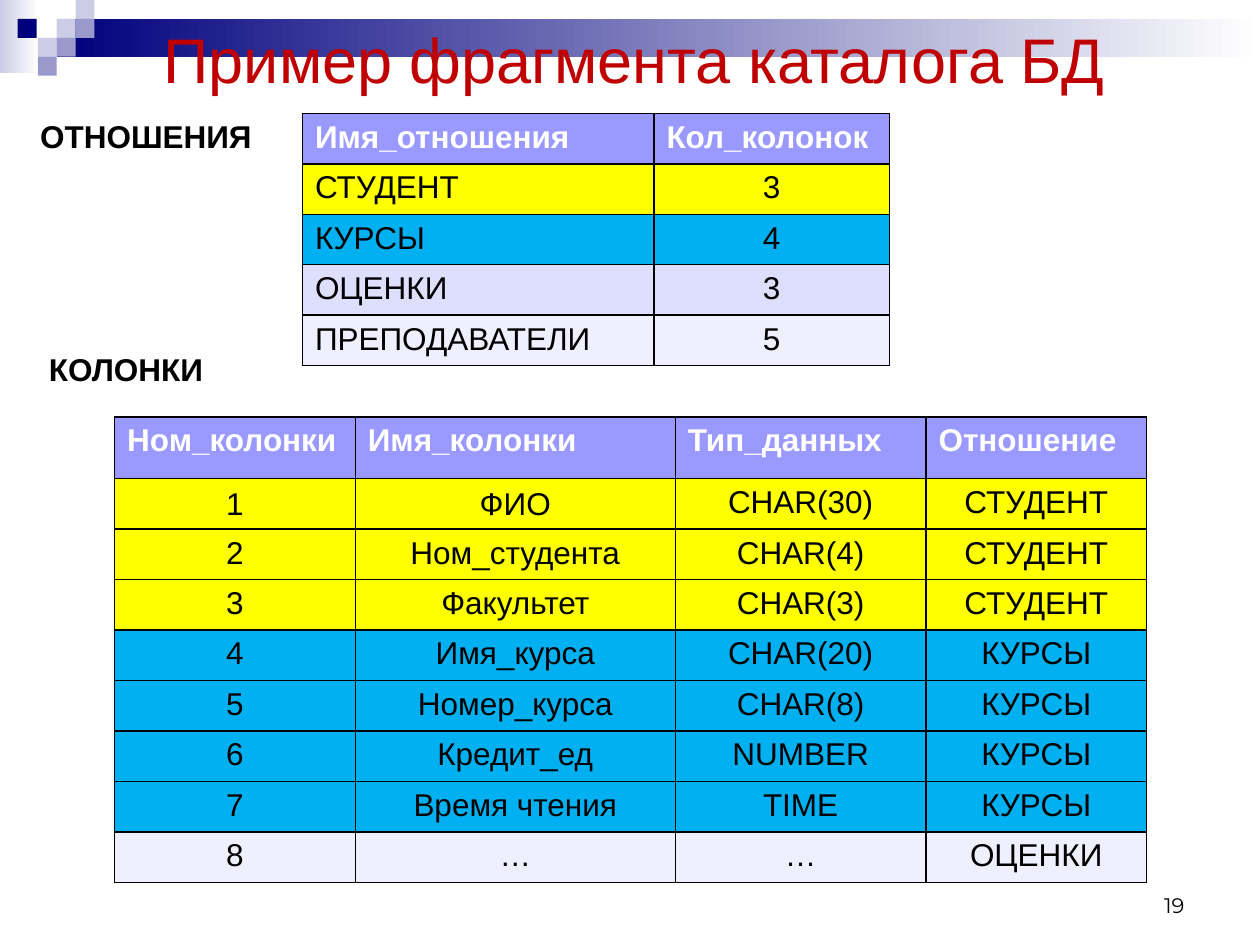
import lxml.etree
import pptx
import pptx.dml.color
import pptx.enum.shapes
import pptx.enum.text
import pptx.oxml.ns
import pptx.util

Inches = pptx.util.Inches
ALIGN = pptx.enum.text.PP_ALIGN
ANCHOR = pptx.enum.text.MSO_ANCHOR
qn = pptx.oxml.ns.qn

NAVY, LAVENDER, SLATE, WHITE = "00007D", "CCCCE6", "9999CC", "FFFFFF"
HEADER, YELLOW, BLUE, LILAC, PALE = "9999FF", "FFFF00", "00B0F0", "DEDEFF", "EFEFFF"


def color(value):
    return pptx.dml.color.RGBColor.from_string(value)


def write(frame, text, size=18, font="Arial", ink="000000", bold=False, align=ALIGN.LEFT):
    paragraph = frame.paragraphs[0]
    paragraph.alignment = align
    run = paragraph.add_run()
    run.text = text
    run.font.size = pptx.util.Pt(size)
    run.font.name = font
    run.font.bold = bold
    run.font.color.rgb = color(ink)


class CatalogSlide:
    def __init__(self, slide, border="000000", border_width=1):
        self.slide = slide
        self.border = border
        self.border_width = border_width

    def block(self, left, top, width, height, start, end=None):
        shape = self.slide.shapes.add_shape(
            pptx.enum.shapes.MSO_SHAPE.RECTANGLE,
            Inches(left), Inches(top), Inches(width), Inches(height))
        shape.shadow.inherit = False
        shape.line.fill.background()
        if end is None:
            shape.fill.solid()
            shape.fill.fore_color.rgb = color(start)
            return
        shape.fill.gradient()
        shape.fill.gradient_angle = 0
        for stop, tone in zip(shape.fill.gradient_stops, (start, end)):
            stop.color.rgb = color(tone)

    def label(self, left, top, width, height, text, anchor=ANCHOR.TOP, **style):
        box = self.slide.shapes.add_textbox(
            Inches(left), Inches(top), Inches(width), Inches(height))
        box.text_frame.word_wrap = True
        box.text_frame.vertical_anchor = anchor
        write(box.text_frame, text, **style)

    def outline(self, cell):
        properties = cell._tc.get_or_add_tcPr()
        width = str(pptx.util.Pt(self.border_width))
        for side in ("a:lnL", "a:lnR", "a:lnT", "a:lnB"):
            line = lxml.etree.SubElement(properties, qn(side), w=width)
            fill = lxml.etree.SubElement(line, qn("a:solidFill"))
            lxml.etree.SubElement(fill, qn("a:srgbClr"), val=self.border)

    def table(self, left, top, widths, heights, rows, fills, left_columns=()):
        table = self.slide.shapes.add_table(
            len(rows), len(widths), Inches(left), Inches(top),
            Inches(sum(widths)), Inches(sum(heights))).table
        for column, width in zip(table.columns, widths):
            column.width = Inches(width)
        for r, (values, fill) in enumerate(zip(rows, fills)):
            table.rows[r].height = Inches(heights[r])
            for c, value in enumerate(values):
                cell = table.cell(r, c)
                self.outline(cell)
                cell.fill.solid()
                cell.fill.fore_color.rgb = color(fill)
                header = r == 0
                write(cell.text_frame, value, bold=header,
                      ink=WHITE if header else "000000",
                      align=ALIGN.LEFT if header or c in left_columns else ALIGN.CENTER)
        return table


def main():
    deck = pptx.Presentation()
    deck.slide_width, deck.slide_height = Inches(10), Inches(7.5)
    page = CatalogSlide(deck.slides.add_slide(deck.slide_layouts[6]))

    page.block(0, 0, 0.31, 0.58, LAVENDER, WHITE)
    page.block(0.45, 0.15, 9.55, 0.3, NAVY, WHITE)
    for left, top, tone in (
            (0.45, 0.15, LAVENDER), (0.6, 0, LAVENDER), (0.6, 0.15, SLATE),
            (0.3, 0.3, LAVENDER), (0.14, 0.15, NAVY), (0.45, 0.3, SLATE),
            (0.3, 0.45, SLATE)):
        page.block(left, top, 0.15, 0.15, tone)

    page.label(0.28, 0.03, 9.51, 0.87, "Пример фрагмента каталога БД",
               anchor=ANCHOR.MIDDLE, size=36, ink="C00000", align=ALIGN.CENTER)
    page.label(7.17, 6.83, 2.33, 0.5, "19", anchor=ANCHOR.BOTTOM,
               size=12, font="Montserrat", align=ALIGN.RIGHT)

    relations = [
        ("Имя_отношения", "Кол_колонок"),
        ("СТУДЕНТ", "3"),
        ("КУРСЫ", "4"),
        ("ОЦЕНКИ", "3"),
        ("ПРЕПОДАВАТЕЛИ", "5"),
    ]
    page.table(2.4, 0.9, (2.79, 1.87), (0.4, 0.4, 0.4, 0.37, 0.4), relations,
               (HEADER, YELLOW, BLUE, LILAC, PALE), left_columns=(0,))
    page.label(0.22, 0.88, 2.18, 0.4, "ОТНОШЕНИЯ", bold=True)
    page.label(0.29, 2.73, 1.57, 0.4, "КОЛОНКИ", bold=True)

    columns = [
        ("Ном_колонки", "Имя_колонки", "Тип_данных", "Отношение"),
        ("1", "ФИО", "CHAR(30)", "СТУДЕНТ"),
        ("2", "Ном_студента", "CHAR(4)", "СТУДЕНТ"),
        ("3", "Факультет", "CHAR(3)", "СТУДЕНТ"),
        ("4", "Имя_курса", "CHAR(20)", "КУРСЫ"),
        ("5", "Номер_курса", "CHAR(8)", "КУРСЫ"),
        ("6", "Кредит_ед", "NUMBER", "КУРСЫ"),
        ("7", "Время чтения", "TIME", "КУРСЫ"),
        ("8", "…", "…", "ОЦЕНКИ"),
    ]
    catalog = page.table(0.91, 3.31, (1.91, 2.54, 1.99, 1.75), [0.49] + [0.4] * 8,
                         columns, [HEADER] + [YELLOW] * 3 + [BLUE] * 4 + [PALE])
    for c in range(2):
        cell = catalog.cell(1, c)
        cell.vertical_anchor = ANCHOR.MIDDLE
        cell.margin_left = cell.margin_top = cell.margin_right = Inches(0.01)
        cell.margin_bottom = 0

    deck.save("out.pptx")


if __name__ == "__main__":
    main()
